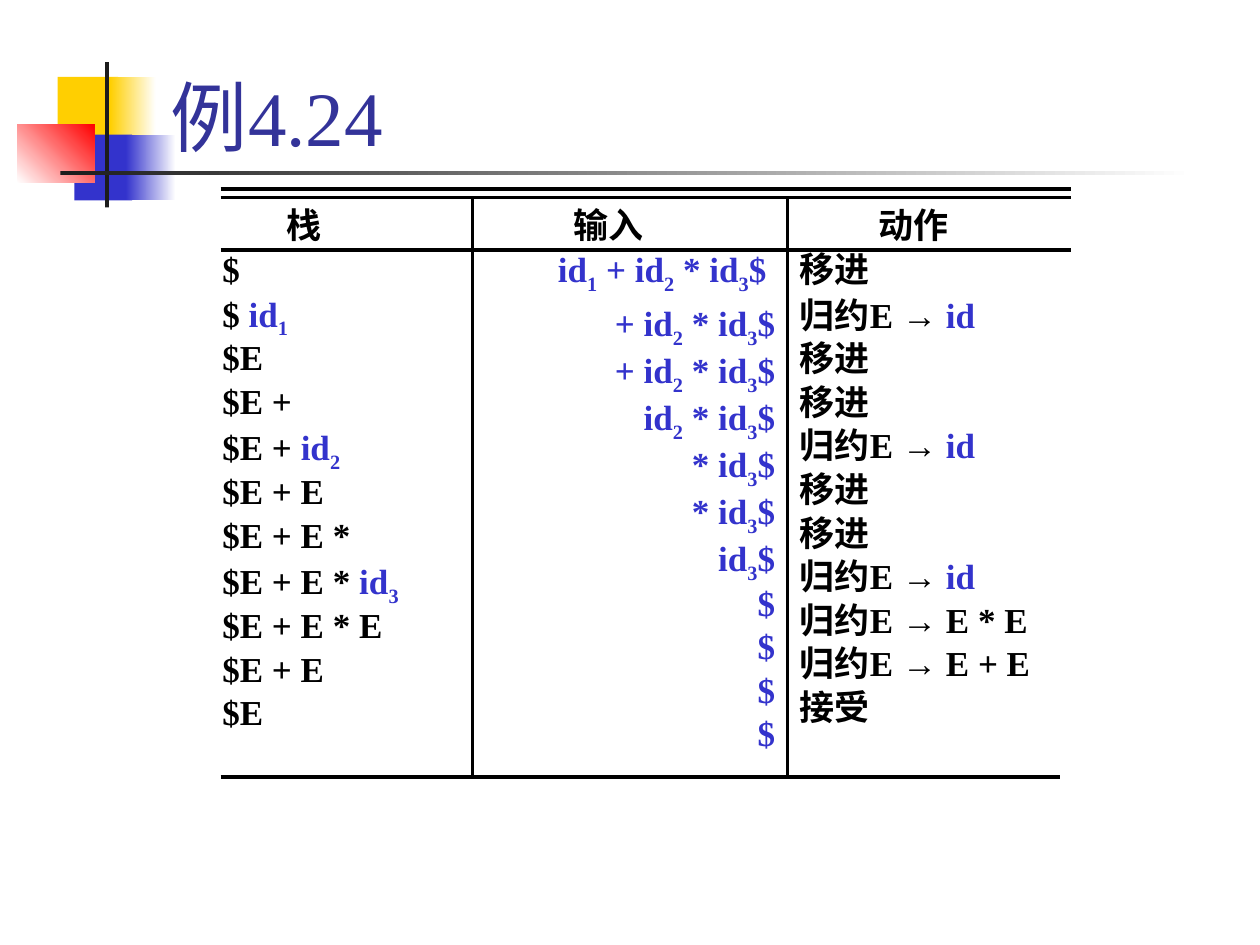
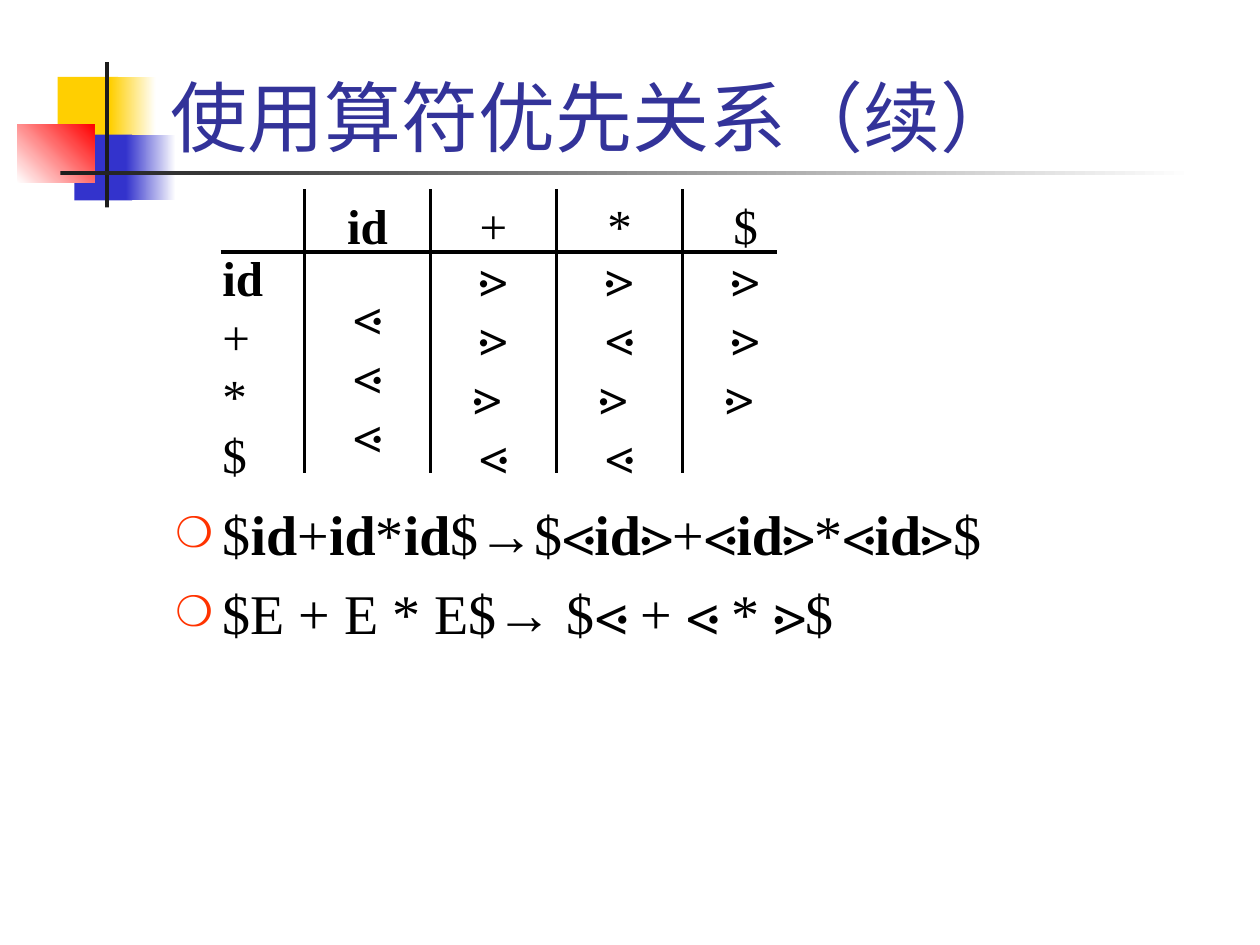
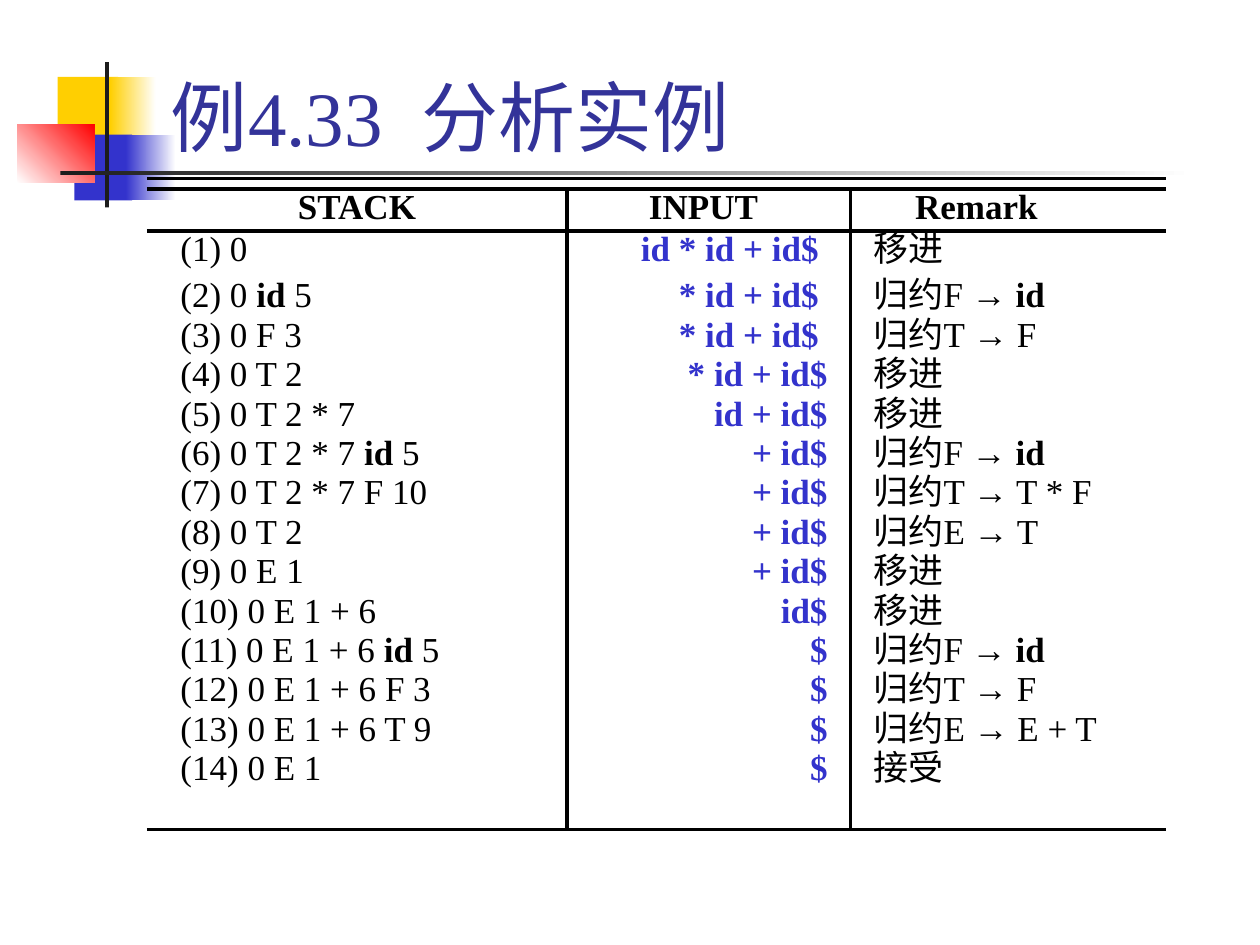
from dataclasses import dataclass
from itertools import chain, repeat

from pptx import Presentation
from pptx.dml.color import RGBColor
from pptx.enum.shapes import MSO_CONNECTOR, MSO_SHAPE
from pptx.enum.text import MSO_ANCHOR, MSO_AUTO_SIZE, PP_ALIGN
from pptx.oxml.xmlchemy import OxmlElement
from pptx.util import Pt


@dataclass(frozen=True)
class TextStyle:
    """Accented words are bold and take the accent colour."""
    size: float
    color: RGBColor
    accent: RGBColor
    bold: bool = False


@dataclass(frozen=True)
class Theme:
    font: str = "Times New Roman"
    black: RGBColor = RGBColor(0x00, 0x00, 0x00)
    white: RGBColor = RGBColor(0xFF, 0xFF, 0xFF)
    ink: RGBColor = RGBColor(0x1C, 0x1C, 0x1C)
    blue: RGBColor = RGBColor(0x33, 0x33, 0xCC)
    navy: RGBColor = RGBColor(0x33, 0x33, 0x99)
    yellow: RGBColor = RGBColor(0xFF, 0xCF, 0x01)
    red: RGBColor = RGBColor(0xFF, 0x00, 0x00)
    bullet: RGBColor = RGBColor(0xFF, 0x33, 0x00)
    title_size: float = 44
    list_size: float = 32
    matrix_size: float = 28
    trace_size: float = 20
    rule_width: float = 2


THEME = Theme()
TITLE = TextStyle(THEME.title_size, THEME.navy, THEME.navy)
LIST = TextStyle(THEME.list_size, THEME.black, THEME.black)
MATRIX = TextStyle(THEME.matrix_size, THEME.black, THEME.black)
TRACE = TextStyle(THEME.trace_size, THEME.black, THEME.black)
TRACE_BOLD = TextStyle(THEME.trace_size, THEME.black, THEME.blue, bold=True)
INPUT = TextStyle(THEME.trace_size, THEME.blue, THEME.blue, bold=True)

TITLE_ONLY, TITLE_AND_LIST = 5, 1


class Deck:
    def __init__(self):
        self.presentation = Presentation()
        self.presentation.slide_width = Pt(720)
        self.presentation.slide_height = Pt(540)
        self.slide = None

    def add_slide(self, title, layout=TITLE_ONLY):
        layouts = self.presentation.slide_layouts
        first = self.slide is None
        self.slide = self.presentation.slides.add_slide(layouts[layout])
        if first:
            self.decorate_master()
        heading = self.slide.shapes.title
        self.place(heading, 90.5, 6, 613.5, 90)
        frame = heading.text_frame
        frame.auto_size = MSO_AUTO_SIZE.NONE
        frame.vertical_anchor = MSO_ANCHOR.BOTTOM
        frame.paragraphs[0].alignment = PP_ALIGN.LEFT
        self.add_text(frame.paragraphs[0], title, TITLE)

    @staticmethod
    def place(shape, left, top, width, height):
        shape.left, shape.top = Pt(left), Pt(top)
        shape.width, shape.height = Pt(width), Pt(height)

    def block(self, box, start, end=None, angle=0):
        """Add a rectangle, with a gradient when an end colour is given."""
        block = self.slide.shapes.add_shape(MSO_SHAPE.RECTANGLE, *map(Pt, box))
        block.shadow.inherit = False
        block.line.fill.background()
        if end is None:
            block.fill.solid()
            block.fill.fore_color.rgb = start
        else:
            block.fill.gradient()
            block.fill.gradient_angle = angle
            for stop, color in zip(block.fill.gradient_stops, (start, end)):
                stop.color.rgb = color
        return block

    def decorate_master(self):
        """Draw the corner ornament once and move it behind every slide."""
        white = THEME.white
        ornament = [
            self.block((33, 44, 34.5, 37.5), THEME.yellow),
            self.block((63, 44, 26, 37.5), THEME.yellow, white),
            self.block((42.5, 77, 33, 37.5), THEME.blue),
            self.block((72, 77, 28.5, 37.5), THEME.blue, white),
            self.block((10, 71, 44, 33.5), white, THEME.red, angle=45),
            self.block((60, 35.5, 2.3, 83), THEME.ink),
            self.block((34.5, 97.7, 648, 2.3), THEME.ink, white),
        ]
        tree = self.presentation.slide_master.shapes.element
        for order, piece in enumerate(ornament):
            piece.element.nvSpPr.cNvPr.set("id", str(100 + order))
            tree.insert(2 + order, piece.element)

    def add_text(self, paragraph, text, style):
        """Add runs: `word` is accented, _n is a subscript digit."""
        for order, part in enumerate(text.split("`")):
            accented = order % 2 == 1
            plain, *indexed = part.split("_")
            self.add_run(paragraph, plain, style, accented)
            for piece in indexed:
                self.add_run(paragraph, piece[0], style, accented, subscript=True)
                self.add_run(paragraph, piece[1:], style, accented)

    @staticmethod
    def add_run(paragraph, text, style, accented, subscript=False):
        if not text:
            return
        run = paragraph.add_run()
        run.text = text
        run.font.name = THEME.font
        run.font.size = Pt(style.size)
        run.font.bold = style.bold or accented
        run.font.color.rgb = style.accent if accented else style.color
        if subscript:
            run._r.get_or_add_rPr().set("baseline", "-25000")

    def text_box(self, box, align):
        """Add an empty text box and return its frame and first paragraph."""
        frame = self.slide.shapes.add_textbox(*map(Pt, box)).text_frame
        frame.word_wrap = True
        frame.auto_size = MSO_AUTO_SIZE.SHAPE_TO_FIT_TEXT
        frame.paragraphs[0].alignment = align
        return frame, frame.paragraphs[0]

    def label(self, box, text, style):
        _, paragraph = self.text_box(box, PP_ALIGN.CENTER)
        self.add_text(paragraph, text, style)

    def trace_column(self, box, steps, style, second, rest, align=PP_ALIGN.LEFT):
        """Add one paragraph per step; second and rest are line spacings."""
        frame, paragraph = self.text_box(box, align)
        spacings = chain([None, second], repeat(rest))
        for order, (step, spacing) in enumerate(zip(steps, spacings)):
            if order:
                paragraph = frame.add_paragraph()
                paragraph.alignment = align
                paragraph.line_spacing = spacing
                paragraph.space_before = Pt(10.5)
            self.add_text(paragraph, step, style)

    def matrix_column(self, box, cells, align=PP_ALIGN.CENTER):
        _, paragraph = self.text_box(box, align)
        for order, cell in enumerate(cells):
            if order:
                paragraph.add_line_break()
            self.add_text(paragraph, cell, MATRIX)

    def bullet_list(self, box, items):
        body = self.slide.placeholders[1]
        self.place(body, *box)
        frame = body.text_frame
        frame.auto_size = MSO_AUTO_SIZE.NONE
        for order, item in enumerate(items):
            paragraph = frame.add_paragraph() if order else frame.paragraphs[0]
            self.add_bullet(paragraph)
            paragraph.space_before = Pt(6.4 if order else 0)
            self.add_text(paragraph, item, LIST)

    @staticmethod
    def add_bullet(paragraph):
        properties = paragraph._p.get_or_add_pPr()
        properties.set("marL", str(Pt(27)))
        properties.set("indent", str(Pt(-27)))
        color = OxmlElement("a:buClr")
        rgb = OxmlElement("a:srgbClr")
        rgb.set("val", str(THEME.bullet))
        color.append(rgb)
        size = OxmlElement("a:buSzPct")
        size.set("val", "75000")
        mark = OxmlElement("a:buChar")
        mark.set("char", "❍")
        properties.extend([color, size, mark])

    def rule(self, x1, y1, x2, y2):
        rule = self.slide.shapes.add_connector(
            MSO_CONNECTOR.STRAIGHT, Pt(x1), Pt(y1), Pt(x2), Pt(y2))
        rule.line.color.rgb = THEME.black
        rule.line.width = Pt(THEME.rule_width)
        rule.element.spPr.append(OxmlElement("a:effectLst"))

    def trace_rules(self, left, right, levels, dividers, foot_right=None):
        """Rule a trace: double top line, header line, foot and dividers."""
        *upper, foot = levels
        for level in upper:
            self.rule(left, level, right, level)
        self.rule(left, foot, foot_right or right, foot)
        for divider in dividers:
            self.rule(divider, levels[1], divider, foot)


def add_shift_reduce_example(deck):
    deck.add_slide("例4.24")
    deck.trace_rules(126, 612, (108, 113, 143, 444), (450, 270), foot_right=606)
    stack = ["$", "$ `id_1`", "$E", "$E +", "$E + `id_2`", "$E + E", "$E + E *",
             "$E + E * `id_3`", "$E + E * E", "$E + E", "$E"]
    remaining = ["id_1 + id_2 * id_3$ ", "+ id_2 * id_3$", "+ id_2 * id_3$",
                 "id_2 * id_3$", "* id_3$", "* id_3$", "id_3$"] + ["$"] * 4
    shift, reduce_id = "移进", "归约E → `id`"
    actions = [shift, reduce_id, shift, shift, reduce_id, shift, shift, reduce_id,
               "归约E → E * E", "归约E → E + E", "接受"]
    deck.trace_column((120, 138, 144, 297), stack, TRACE_BOLD, 0.5, 0.6)
    deck.trace_column((288, 138, 162, 295), remaining, INPUT, 0.6, 0.6, PP_ALIGN.RIGHT)
    for left, width, heading in ((120, 108, "栈"), (300, 96, "输入"), (468, 108, "动作")):
        deck.label((left, 113, width, 31), heading, TRACE_BOLD)
    deck.trace_column((450, 138, 174, 295), actions, TRACE_BOLD, 0.6, 0.6)


def add_precedence_relations(deck):
    deck.add_slide("使用算符优先关系（续）", TITLE_AND_LIST)
    deck.bullet_list((93, 282, 612, 156), [
        "$`id`+`id`*`id`$→$⋖`id`⋗+⋖`id`⋗*⋖`id`⋗$",
        "$E + E * E$→ $⋖ + ⋖ * ⋗$",
    ])
    deck.rule(126, 144, 444, 144)
    deck.matrix_column((120, 138, 48, 142), ["`id`", "+", "*", "$"], PP_ALIGN.LEFT)
    relations = {
        "`id`": ["", "⋖", "⋖", "⋖"],
        "+": ["⋗", "⋗", "⋗ ", "⋖"],
        "*": ["⋗", "⋖", "⋗ ", "⋖"],
        "$": ["⋗", "⋗", "⋗ "],
    }
    for order, (symbol, cells) in enumerate(relations.items()):
        divider = 174 + 72 * order
        deck.rule(divider, 108, divider, 270)
        deck.matrix_column((divider + 12, 138, 48, 142), cells)
        deck.label((divider + 12, 108, 48, 41), symbol, MATRIX)


def add_parsing_example(deck):
    deck.add_slide("例4.33  分析实例")
    deck.trace_rules(84, 666, (102, 108, 132, 474), (486, 324))
    states = ["0", "0 `id` 5", "0 F 3", "0 T 2", "0 T 2 * 7", "0 T 2 * 7 `id` 5",
              "0 T 2 * 7 F 10", "0 T 2", "0 E 1", "0 E 1 + 6", "0 E 1 + 6 `id` 5",
              "0 E 1 + 6 F 3", "0 E 1 + 6 T 9", "0 E 1"]
    stack = [f"({number}) {state}" for number, state in enumerate(states, 1)]
    remaining = ["id * id + id$ ", "* id + id$ ", "* id + id$ ", "* id + id$",
                 "id + id$"] + ["+ id$"] * 4 + ["id$"] + ["$"] * 4
    shift, reduce_id, reduce_factor = "移进", "归约F → `id`", "归约T → F"
    remarks = [shift, reduce_id, reduce_factor, shift, shift, reduce_id,
               "归约T → T * F", "归约E → T", shift, shift, reduce_id,
               reduce_factor, "归约E → E + T", "接受"]
    deck.trace_column((336, 126, 144, 346), remaining, INPUT, 0.6, 0.5, PP_ALIGN.RIGHT)
    for left, width, heading in ((150, 108, "STACK"), (354, 96, "INPUT"),
                                 (504, 108, "Remark")):
        deck.label((left, 102, width, 31), heading, TRACE_BOLD)
    deck.trace_column((492, 126, 174, 346), remarks, TRACE, 0.6, 0.5)
    deck.trace_column((96, 126, 222, 346), stack, TRACE, 0.6, 0.5)


def main():
    deck = Deck()
    add_shift_reduce_example(deck)
    add_precedence_relations(deck)
    add_parsing_example(deck)
    deck.presentation.save("out.pptx")


if __name__ == "__main__":
    main()
